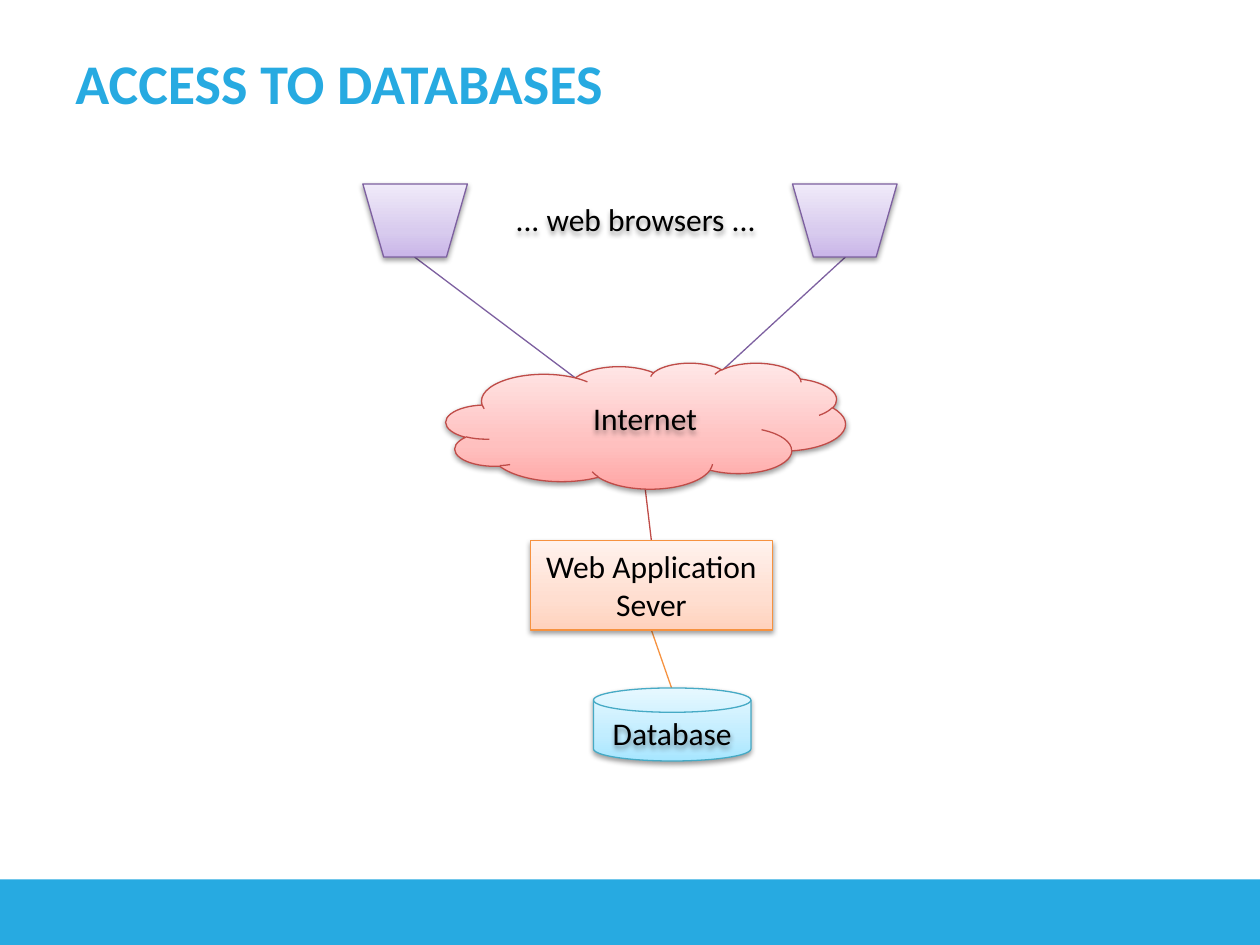
from copy import deepcopy

from lxml import etree
from pptx import Presentation
from pptx.dml.color import RGBColor
from pptx.enum.shapes import MSO_CONNECTOR, MSO_SHAPE
from pptx.enum.text import MSO_ANCHOR, PP_ALIGN
from pptx.oxml import parse_xml
from pptx.oxml.ns import nsdecls, qn
from pptx.util import Inches, Pt

STRAIGHT = MSO_CONNECTOR.STRAIGHT
RECTANGLE = MSO_SHAPE.RECTANGLE
CLOUD = MSO_SHAPE.CLOUD
DISK = MSO_SHAPE.FLOWCHART_MAGNETIC_DISK
BROWSER = MSO_SHAPE.FLOWCHART_MANUAL_OPERATION
LEFT, CENTER = PP_ALIGN.LEFT, PP_ALIGN.CENTER
TOP, MIDDLE = MSO_ANCHOR.TOP, MSO_ANCHOR.MIDDLE

BLUE = RGBColor(0x27, 0xAA, 0xE1)
BLACK = RGBColor(0, 0, 0)
PURPLE = RGBColor(0x7D, 0x60, 0xA0)
ORANGE = RGBColor(0xF6, 0x92, 0x40)
TEAL = RGBColor(0x46, 0xAA, 0xC5)
RED = RGBColor(0xBF, 0x4C, 0x48)
# Gradient stops from bottom to top, by outline colour
GRADIENTS = {
    PURPLE: (RGBColor(0xC9, 0xB5, 0xE8), RGBColor(0xD8, 0xCB, 0xEE), RGBColor(0xF0, 0xEA, 0xF9)),
    ORANGE: (RGBColor(0xFF, 0xD2, 0xBD), RGBColor(0xFF, 0xDE, 0xD0), RGBColor(0xFF, 0xF2, 0xED)),
    TEAL: (RGBColor(0xA7, 0xE6, 0xFF), RGBColor(0xC1, 0xED, 0xFF), RGBColor(0xE7, 0xF8, 0xFF)),
    RED: (RGBColor(0xFF, 0xA6, 0xA5), RGBColor(0xFF, 0xC0, 0xBF), RGBColor(0xFF, 0xE7, 0xE7)),
}
STOP_POSITIONS = (0, 0.35, 1)
SHADOW = (
    f'<a:effectLst {nsdecls("a")}><a:outerShdw blurRad="{Pt(3.1)}" dist="{Pt(1.6)}" '
    'dir="5400000" rotWithShape="0"><a:srgbClr val="000000"><a:alpha val="38000"/>'
    '</a:srgbClr></a:outerShdw></a:effectLst>'
)


def write(shape, text, size=18, color=BLACK, bold=False, align=CENTER, anchor=TOP):
    frame = shape.text_frame
    frame.word_wrap = True
    frame.vertical_anchor = anchor
    paragraph = frame.paragraphs[0]
    paragraph.alignment = align
    run = paragraph.add_run()
    run.text = text
    font_format = {"name": "Calibri", "size": Pt(size), "bold": bold}
    for name, value in font_format.items():
        setattr(run.font, name, value)
    run.font.color.rgb = color


def add_node(shapes, kind, box, color):
    """Add a shape with the outline colour's gradient and a soft shadow."""
    shape = shapes.add_shape(kind, *map(Inches, box))
    shape.line.color.rgb = color
    shape.line.width = Pt(0.75)
    shape.fill.gradient()
    shape.fill.gradient_angle = 90
    stop_list = shape._element.spPr.find(".//" + qn("a:gsLst"))
    stop_list.append(deepcopy(stop_list[-1]))
    for stop, position, stop_color in zip(shape.fill.gradient_stops, STOP_POSITIONS, GRADIENTS[color]):
        stop.position = position
        stop.color.rgb = stop_color
    shape._element.spPr.append(parse_xml(SHADOW))
    return shape


presentation = Presentation()
presentation.slide_width = Inches(10)
presentation.slide_height = Inches(7.5)
slide = presentation.slides.add_slide(presentation.slide_layouts[6])
shapes = slide.shapes

footer = shapes.add_shape(RECTANGLE, Inches(-0.03), Inches(6.98), Inches(10.09), Inches(0.65))
footer.shadow.inherit = False
footer.fill.solid()
footer.fill.fore_color.rgb = BLUE
footer.line.fill.background()

title = shapes.add_textbox(Inches(0.5), Inches(0.3), Inches(6.85), Inches(0.7))
write(title, "ACCESS TO DATABASES", size=32, color=BLUE, bold=True, align=LEFT, anchor=MIDDLE)

# Links lie behind the nodes they join
links = [
    (3.29, 2.04, 4.62, 3.04, PURPLE),
    (6.71, 2.04, 5.71, 2.96, PURPLE),
    (5.12, 3.87, 5.17, 4.29, RED),
    (5.17, 5, 5.33, 5.46, ORANGE),
]
for *ends, color in links:
    link = shapes.add_connector(STRAIGHT, *map(Inches, ends))
    link.line.color.rgb = color
    link.line.width = Pt(0.75)
    etree.SubElement(link._element.spPr, qn("a:effectLst"))

server = add_node(shapes, RECTANGLE, (4.21, 4.29, 1.92, 0.71), ORANGE)
write(server, "Web Application Sever")
database = shapes.add_group_shape()
add_node(database.shapes, DISK, (4.71, 5.46, 1.25, 0.58), TEAL)
add_node(shapes, CLOUD, (3.54, 2.88, 3.17, 1), RED)
for left in (2.88, 6.29):
    add_node(shapes, BROWSER, (left, 1.46, 0.83, 0.58), PURPLE)

labels = [
    (database.shapes, "Database", (4.71, 5.62, 1.25, 0.4)),
    (shapes, "Internet", (3.62, 3.12, 3, 0.4)),
    (shapes, "... web browsers ...", (3.88, 1.54, 2.33, 0.4)),
]
for parent, text, box in labels:
    label = parent.add_textbox(*map(Inches, box))
    write(label, text)
    label._element.spPr.append(parse_xml(SHADOW))

presentation.save("out.pptx")
